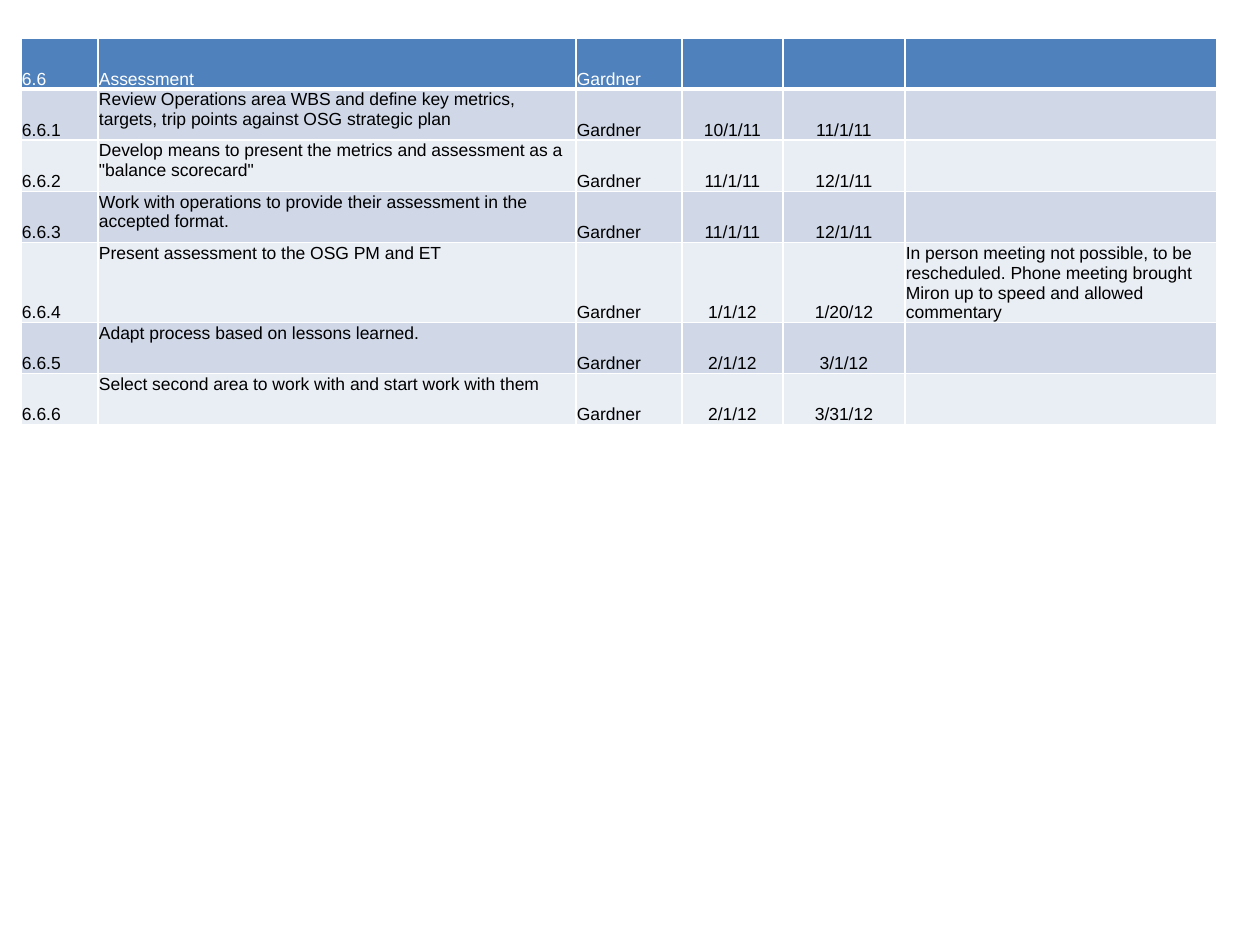
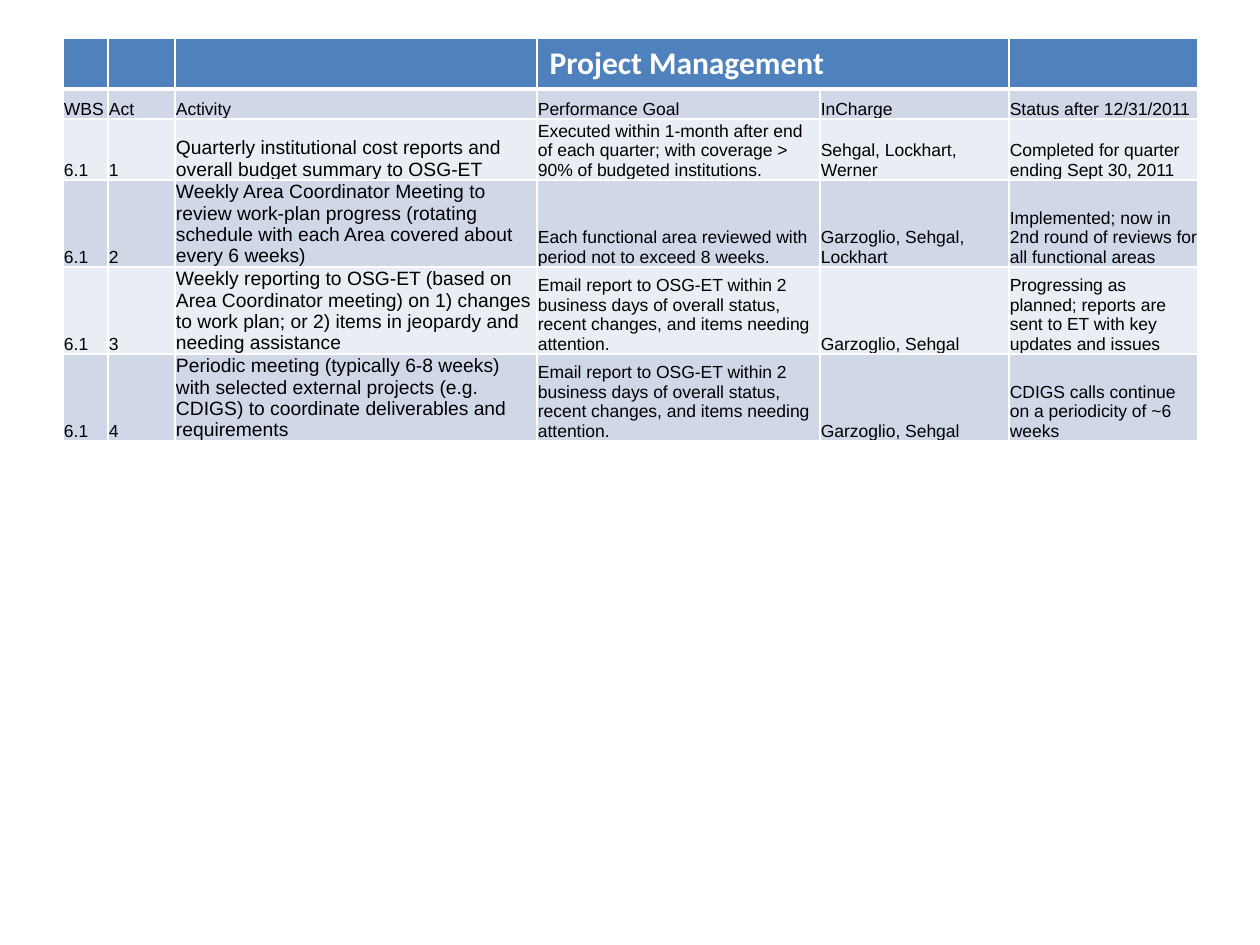
from dataclasses import dataclass

from lxml.etree import SubElement
from pptx import Presentation
from pptx.dml.color import RGBColor
from pptx.enum.text import MSO_ANCHOR as Anchor, PP_ALIGN as Align
from pptx.oxml.ns import qn
from pptx.util import Emu, Pt

PX_PER_INCH = 126
WHITE, BLACK, HEADER_BLUE = "FFFFFF", "000000", "4F81BD"
BANDS = ("D0D8E8", "E9EDF4")
TABLE_TOP = 38
HEADER_HEIGHT = 51


@dataclass(frozen=True)
class Column:
    width: int
    size: int = 10
    align: Align = Align.LEFT
    anchor: Anchor = Anchor.BOTTOM


@dataclass(frozen=True)
class Row:
    height: int
    texts: tuple[str, ...]


@dataclass(frozen=True)
class Banner:
    """A title spanning several header cells."""
    text: str
    first: int
    last: int


@dataclass(frozen=True)
class Plan:
    left: int
    columns: tuple[Column, ...]
    rows: tuple[Row, ...]
    banner: Banner | None = None


def px(length: int) -> Emu:
    return Emu(round(length * 914400 / PX_PER_INCH))


def color(code: str) -> RGBColor:
    return RGBColor.from_string(code)


def add_borders(cell, top: int, bottom: int) -> None:
    """Draw white borders; side lines are 1 pt, top and bottom as given."""
    properties = cell._tc.get_or_add_tcPr()
    for side, points in (("L", 1), ("R", 1), ("T", top), ("B", bottom)):
        line = SubElement(properties, qn(f"a:ln{side}"), w=str(Pt(points)))
        fill = SubElement(line, qn("a:solidFill"))
        SubElement(fill, qn("a:srgbClr"), val=WHITE)


def style_cell(cell, row: int) -> None:
    add_borders(cell, top=3 if row == 1 else 1, bottom=3 if row == 0 else 1)
    cell.fill.solid()
    cell.fill.fore_color.rgb = color(BANDS[(row - 1) % 2] if row else HEADER_BLUE)


def write(cell, text: str, size: int, font_name: str, ink: str, bold: bool = False) -> None:
    cell.text = text
    font = cell.text_frame.paragraphs[0].font
    font.name, font.size, font.bold = font_name, Pt(size), bold
    font.color.rgb = color(ink)


def write_entry(cell, text: str, column: Column, is_header: bool, size: int) -> None:
    cell.margin_left = cell.margin_top = cell.margin_right = px(1)
    cell.margin_bottom = 0
    cell.vertical_anchor = Anchor.BOTTOM if is_header else column.anchor
    write(cell, text, size, "Arial", WHITE if is_header else BLACK)
    cell.text_frame.paragraphs[0].alignment = column.align


def add_plan(deck, plan: Plan) -> None:
    slide = deck.slides.add_slide(deck.slide_layouts[6])
    width = sum(column.width for column in plan.columns)
    height = sum(row.height for row in plan.rows)
    table = slide.shapes.add_table(
        len(plan.rows), len(plan.columns),
        px(plan.left), px(TABLE_TOP), px(width), px(height)).table
    for c, column in enumerate(plan.columns):
        table.columns[c].width = px(column.width)
    for r, row in enumerate(plan.rows):
        table.rows[r].height = px(row.height)
        for c, (column, text) in enumerate(zip(plan.columns, row.texts)):
            cell = table.cell(r, c)
            style_cell(cell, r)
            if text:
                # The column-label row below a banner keeps the base size.
                is_label = plan.banner is not None and r == 1
                write_entry(cell, text, column, r == 0, 10 if is_label else column.size)
    if plan.banner:
        title = table.cell(0, plan.banner.first)
        title.merge(table.cell(0, plan.banner.last))
        write(title, plan.banner.text, 18, "Calibri", WHITE, bold=True)


def assessment_task(number: int, task: str, start: str, end: str,
                    note: str = "", height: int = 51) -> Row:
    return Row(height, (f"6.6.{number}", task, "Gardner", start, end, note))


def management_activity(number: int, activity: str, goal: str, in_charge: str,
                        status: str, height: int = 87) -> Row:
    return Row(height, ("6.1", str(number), activity, goal, in_charge, status))


EMAIL_GOAL = ("Email report to OSG-ET within 2 business days of overall status, "
              "recent changes, and items needing attention.")

ASSESSMENT = Plan(
    left=21,
    columns=(Column(77), Column(478, anchor=Anchor.TOP), Column(106),
             Column(101, align=Align.CENTER), Column(122, align=Align.CENTER),
             Column(312)),
    rows=(
        Row(HEADER_HEIGHT, ("6.6", "Assessment", "Gardner", "", "", "")),
        assessment_task(1, "Review Operations area WBS and define key metrics, targets, "
                        "trip points against OSG strategic plan", "10/1/11", "11/1/11"),
        assessment_task(2, "Develop means to present the metrics and assessment as a "
                        '"balance scorecard"', "11/1/11", "12/1/11"),
        assessment_task(3, "Work with operations to provide their assessment in the "
                        "accepted format.", "11/1/11", "12/1/11"),
        assessment_task(4, "Present assessment to the OSG PM and ET", "1/1/12", "1/20/12",
                        "In person meeting not possible, to be rescheduled. Phone meeting "
                        "brought Miron up to speed and allowed commentary", height=80),
        assessment_task(5, "Adapt process based on lessons learned.", "2/1/12", "3/1/12"),
        assessment_task(6, "Select second area to work with and start work with them",
                        "2/1/12", "3/31/12"),
    ),
)

MANAGEMENT = Plan(
    left=63,
    columns=(Column(45), Column(67), Column(362, size=11), Column(283),
             Column(189), Column(189)),
    rows=(
        Row(HEADER_HEIGHT, ("",) * 6),
        Row(30, ("WBS", "Act", "Activity", "Performance Goal", "InCharge",
                 "Status after 12/31/2011")),
        management_activity(
            1, "Quarterly institutional cost reports and overall budget summary to OSG-ET",
            "Executed within 1-month after end of each quarter; with coverage > 90% of "
            "budgeted institutions.",
            "Sehgal, Lockhart, Werner", "Completed for quarter ending Sept 30, 2011",
            height=61),
        management_activity(
            2, "Weekly Area Coordinator Meeting to review work-plan progress (rotating "
            "schedule with each Area covered about every 6 weeks)",
            "Each functional area reviewed with period not to exceed 8 weeks.",
            "Garzoglio, Sehgal, Lockhart",
            "Implemented; now in 2nd round of reviews for all functional areas"),
        management_activity(
            3, "Weekly reporting to OSG-ET (based on Area Coordinator meeting) on 1) changes "
            "to work plan; or 2) items in jeopardy and needing assistance",
            EMAIL_GOAL, "Garzoglio, Sehgal",
            "Progressing as planned; reports are sent to ET with key updates and issues"),
        management_activity(
            4, "Periodic meeting (typically 6-8 weeks) with selected external projects "
            "(e.g. CDIGS) to coordinate deliverables and requirements",
            EMAIL_GOAL, "Garzoglio, Sehgal",
            "CDIGS calls continue on a periodicity of ~6 weeks"),
    ),
    banner=Banner("Project Management", first=3, last=4),
)


def main() -> None:
    deck = Presentation()
    deck.slide_width, deck.slide_height = px(1260), px(945)
    for plan in (ASSESSMENT, MANAGEMENT):
        add_plan(deck, plan)
    deck.save("out.pptx")


if __name__ == "__main__":
    main()
